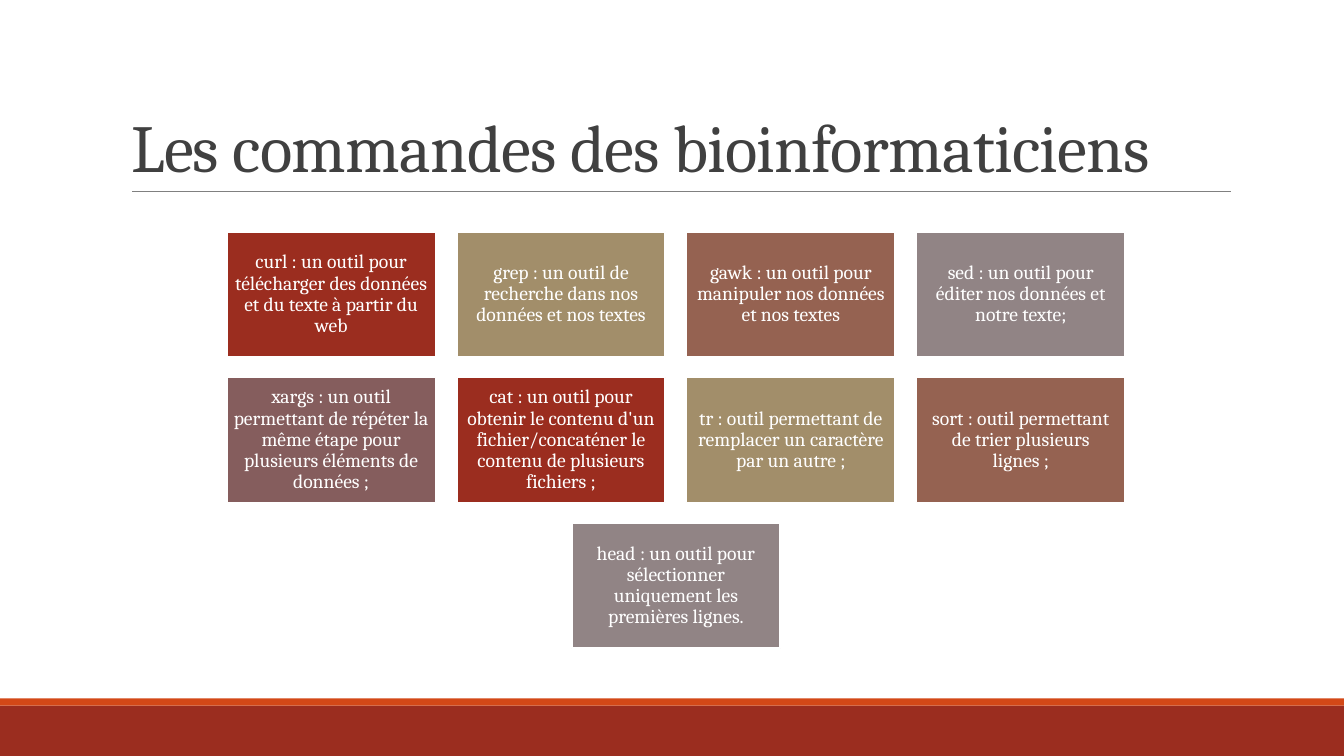
from itertools import cycle

from lxml.etree import SubElement
from pptx import Presentation
from pptx.dml.color import RGBColor
from pptx.enum.shapes import MSO_CONNECTOR, MSO_SHAPE
from pptx.enum.text import MSO_ANCHOR, MSO_AUTO_SIZE, PP_ALIGN
from pptx.oxml.ns import qn
from pptx.util import Inches, Pt

BRICK = RGBColor(0x9B, 0x2D, 0x1F)
ORANGE = RGBColor(0xD3, 0x48, 0x17)
SAND = RGBColor(0xA2, 0x8E, 0x6A)
CLAY = RGBColor(0x95, 0x62, 0x51)
STONE = RGBColor(0x91, 0x84, 0x85)
MAUVE = RGBColor(0x85, 0x5D, 0x5D)
RULE_GREY = RGBColor(0x80, 0x80, 0x80)
TITLE_GREY = RGBColor(0x40, 0x40, 0x40)
WHITE = RGBColor(0xFF, 0xFF, 0xFF)
FONT = "Cambria"

COLUMNS = 4
GRID_LEFT, GRID_TOP = 2.25, 2.3
CARD_WIDTH, CARD_HEIGHT = 2.07, 1.24
COLUMN_STEP, ROW_STEP = 2.28, 1.445

COMMANDS = [
    "curl : un outil pour télécharger des données et du texte à partir du web",
    "grep : un outil de recherche dans nos données et nos textes",
    "gawk : un outil pour manipuler nos données et nos textes",
    "sed : un outil pour éditer nos données et notre texte;",
    "xargs : un outil permettant de répéter la même étape pour plusieurs éléments de données ;",
    "cat : un outil pour obtenir le contenu d'un fichier/concaténer le contenu de plusieurs fichiers ;",
    "tr : outil permettant de remplacer un caractère par un autre ;",
    "sort : outil permettant de trier plusieurs lignes ;",
    "head : un outil pour sélectionner uniquement les premières lignes.",
]


def add_block(left, top, width, height, color):
    block = slide.shapes.add_shape(
        MSO_SHAPE.RECTANGLE, Inches(left), Inches(top), Inches(width), Inches(height)
    )
    block.shadow.inherit = False
    block.fill.solid()
    block.fill.fore_color.rgb = color
    block.line.fill.background()
    return block


def add_text(paragraph, text, size, color):
    run = paragraph.add_run()
    run.text = text
    run.font.name = FONT
    run.font.size = Pt(size)
    run.font.color.rgb = color
    return run


prs = Presentation()
prs.slide_width, prs.slide_height = Inches(13.33), Inches(7.5)
slide = prs.slides.add_slide(prs.slide_layouts[5])

add_block(0, 7, 13.33, 0.5, BRICK)
add_block(0, 6.93, 13.33, 0.07, ORANGE)

title_rule = slide.shapes.add_connector(
    MSO_CONNECTOR.STRAIGHT, Inches(1.31), Inches(1.9), Inches(12.21), Inches(1.9)
)
title_rule.line.color.rgb = RULE_GREY
title_rule.line.width = Pt(0.5)
SubElement(title_rule._element.spPr, qn("a:effectLst"))

title = slide.shapes.title
title.left, title.top = Inches(1.2), Inches(0.31)
title.width, title.height = Inches(11), Inches(1.59)
title.text_frame.auto_size = MSO_AUTO_SIZE.NONE
title.text_frame.vertical_anchor = MSO_ANCHOR.BOTTOM
heading = title.text_frame.paragraphs[0]
heading.alignment = PP_ALIGN.LEFT
heading.line_spacing = 0.85
heading_run = add_text(heading, "Les commandes des bioinformaticiens", 48, TITLE_GREY)
heading_run.font._element.set("spc", "-50")

card_colors = cycle([BRICK, SAND, CLAY, STONE, MAUVE])
for index, (command, color) in enumerate(zip(COMMANDS, card_colors)):
    row, column = divmod(index, COLUMNS)
    cards_in_row = min(COLUMNS, len(COMMANDS) - row * COLUMNS)
    centred_column = column + (COLUMNS - cards_in_row) / 2
    card = add_block(
        GRID_LEFT + centred_column * COLUMN_STEP,
        GRID_TOP + row * ROW_STEP,
        CARD_WIDTH,
        CARD_HEIGHT,
        color,
    )
    card.line.color.rgb = WHITE
    card.line.width = Pt(1.25)
    frame = card.text_frame
    frame.word_wrap = True
    frame.vertical_anchor = MSO_ANCHOR.MIDDLE
    frame.margin_left = frame.margin_right = Inches(0.06)
    frame.margin_top = frame.margin_bottom = Inches(0.06)
    description = frame.paragraphs[0]
    description.alignment = PP_ALIGN.CENTER
    description.line_spacing = 0.9
    add_text(description, command, 14, WHITE)

prs.save("out.pptx")
